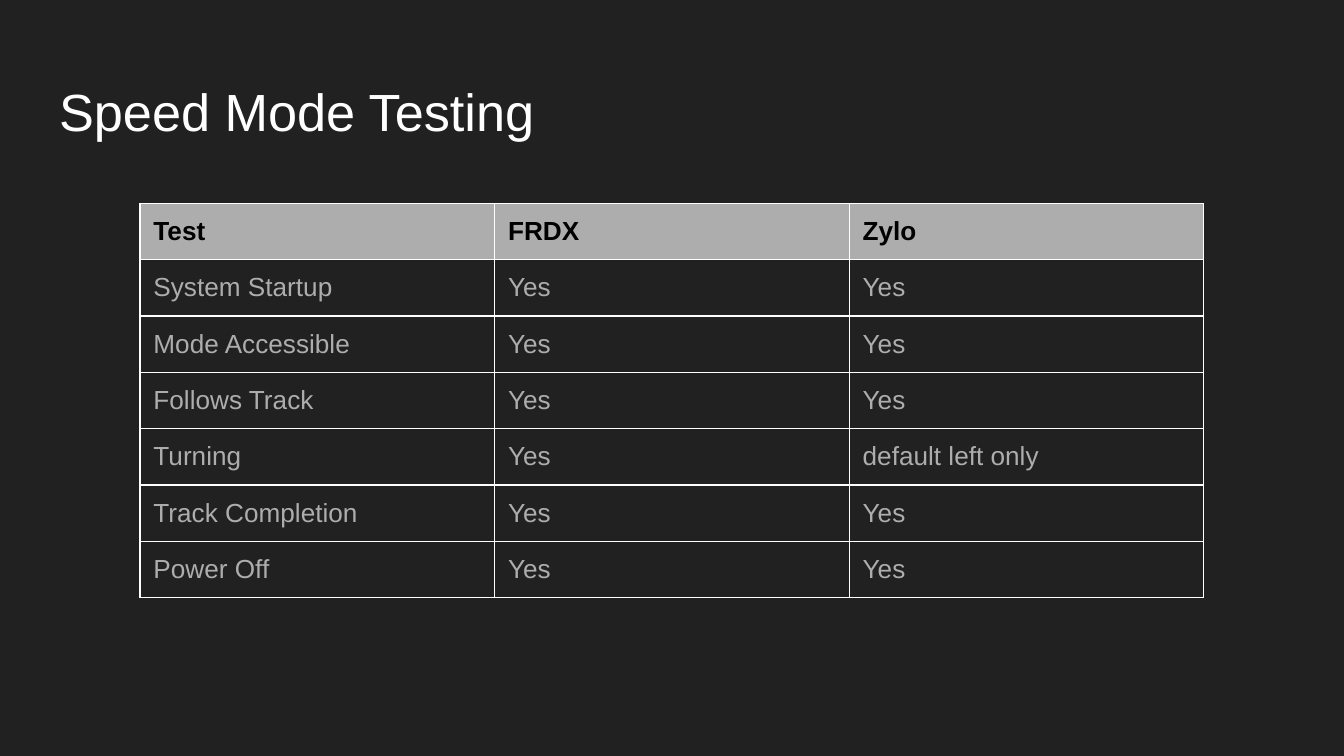
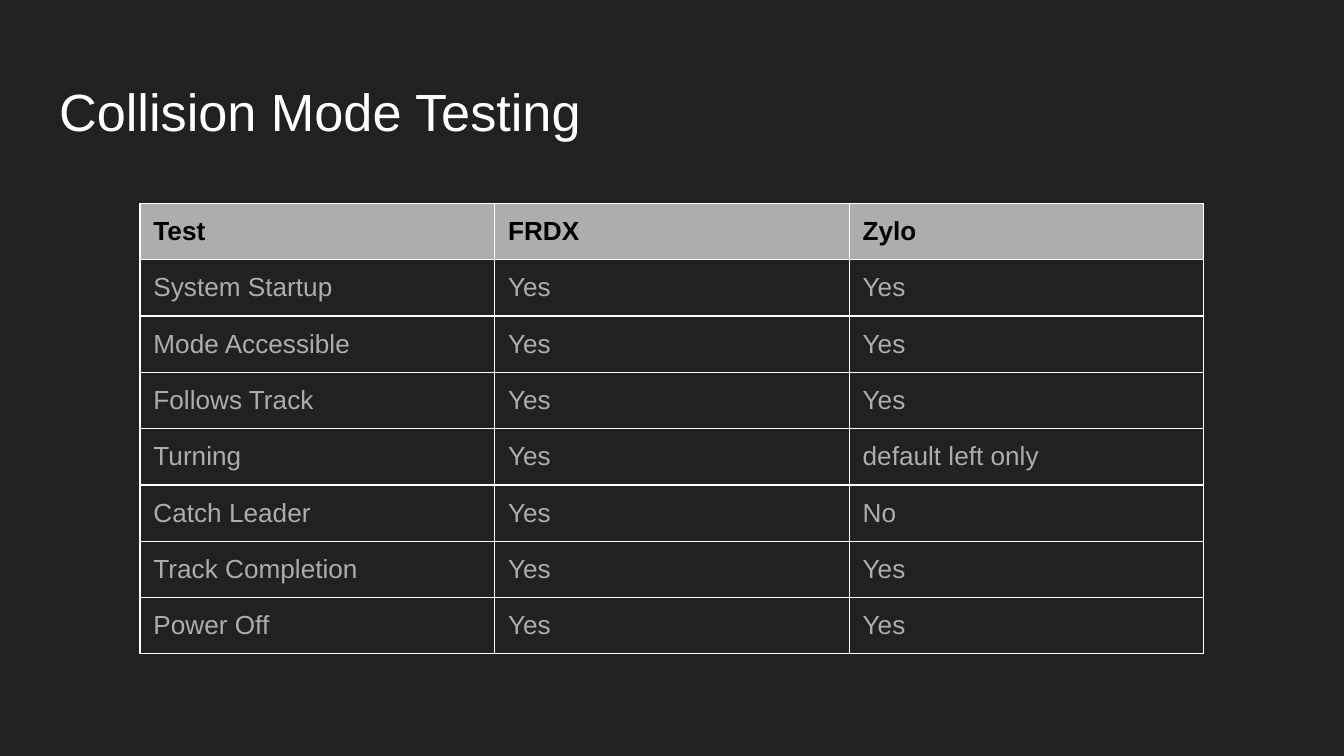
from lxml import etree
from pptx import Presentation
from pptx.dml.color import RGBColor
from pptx.enum.text import MSO_ANCHOR, PP_ALIGN
from pptx.oxml.ns import qn
from pptx.util import Pt

TOP = MSO_ANCHOR.TOP
LEFT = PP_ALIGN.LEFT

FONT = "Arial"
DARK, WHITE, GRAY, BLACK = "212121", "FFFFFF", "ADADAD", "000000"
PAD = Pt(7.2)

HEAD = ("Test", "FRDX", "Zylo")
START = [
    ("System Startup", "Yes", "Yes"),
    ("Mode Accessible", "Yes", "Yes"),
    ("Follows Track", "Yes", "Yes"),
    ("Turning", "Yes", "default left only"),
]
CATCH = [("Catch Leader", "Yes", "No")]
END = [
    ("Track Completion", "Yes", "Yes"),
    ("Power Off", "Yes", "Yes"),
]


def color(code):
    return RGBColor.from_string(code)


class Deck:
    def __init__(self):
        self.prs = Presentation()
        self.prs.slide_width, self.prs.slide_height = Pt(720), Pt(405)
        self.slide = None

    def page(self, title):
        """Start a dark slide with its title."""
        layout = self.prs.slide_layouts.get_by_name("Title Only")
        self.slide = self.prs.slides.add_slide(layout)
        fill = self.slide.background.fill
        fill.solid()
        fill.fore_color.rgb = color(DARK)
        box = self.slide.shapes.title
        box.left, box.top, box.width, box.height = Pt(24.5), Pt(35), Pt(671), Pt(45)
        frame = box.text_frame
        frame.word_wrap = True
        frame.vertical_anchor = TOP
        self.inset(frame)
        self.text(frame, title, 28, WHITE)

    def inset(self, item):
        item.margin_left = item.margin_right = PAD
        item.margin_top = item.margin_bottom = PAD

    def text(self, frame, words, size, code, bold=False):
        para = frame.paragraphs[0]
        para.alignment = LEFT
        run = para.add_run()
        run.text = words
        font = run.font
        font.name, font.size, font.bold = FONT, Pt(size), bold
        font.color.rgb = color(code)

    def border(self, cell):
        props = cell._tc.get_or_add_tcPr()
        for spot, side in enumerate(("lnL", "lnR", "lnT", "lnB")):
            line = etree.Element(qn(f"a:{side}"), w=str(Pt(0.75)))
            fill = etree.SubElement(line, qn("a:solidFill"))
            etree.SubElement(fill, qn("a:srgbClr"), val=WHITE)
            props.insert(spot, line)

    def table(self, rows, left=75, top=109, wide=190, high=30):
        count = len(rows[0])
        grid = self.slide.shapes.add_table(
            len(rows), count, Pt(left), Pt(top),
            Pt(wide * count), Pt(high * len(rows))).table
        grid.horz_banding = False
        for r, row in enumerate(rows):
            head = r == 0
            for c, words in enumerate(row):
                cell = grid.cell(r, c)
                self.inset(cell)
                if head:
                    cell.fill.solid()
                    cell.fill.fore_color.rgb = color(GRAY)
                else:
                    cell.fill.background()
                self.border(cell)
                self.text(cell.text_frame, words, 14, BLACK if head else GRAY, head)


def main():
    deck = Deck()
    deck.page("Speed Mode Testing")
    deck.table([HEAD] + START + END)
    deck.page("Collision Mode Testing")
    deck.table([HEAD] + START + CATCH + END)
    deck.prs.save("out.pptx")


if __name__ == "__main__":
    main()
